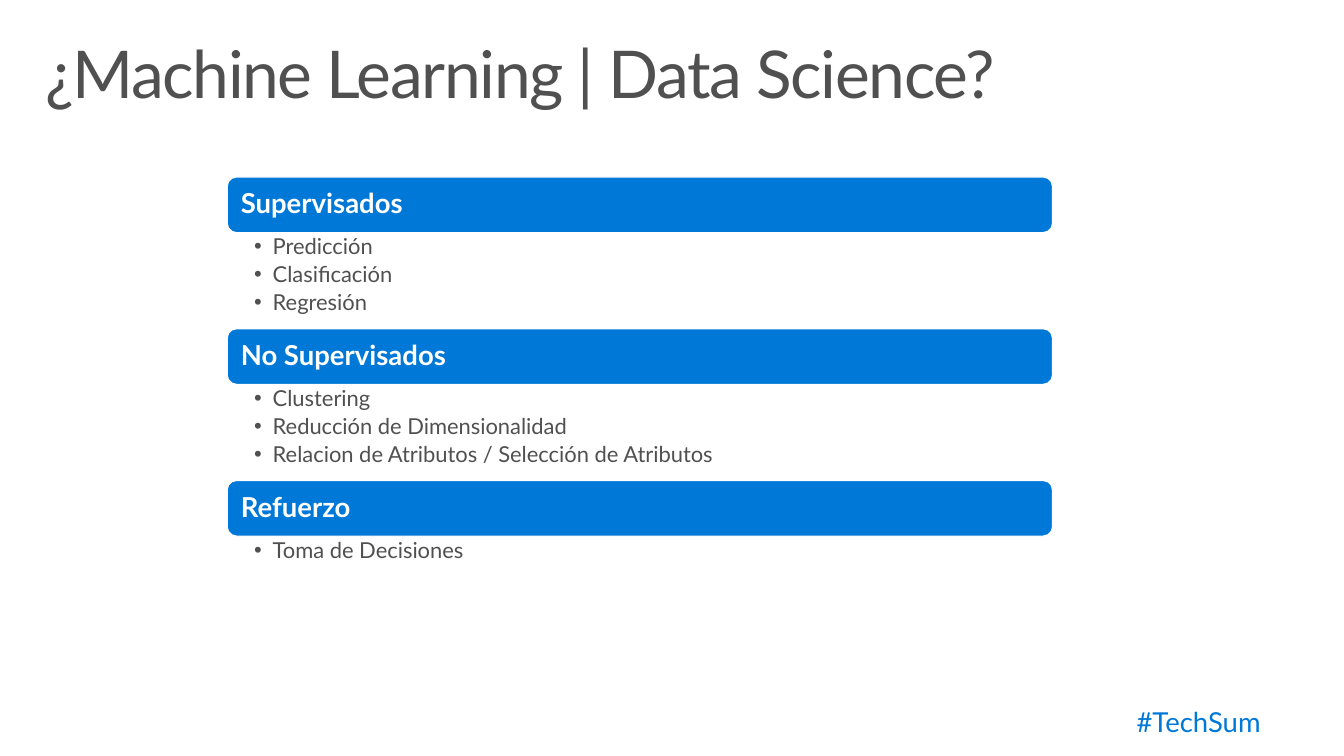
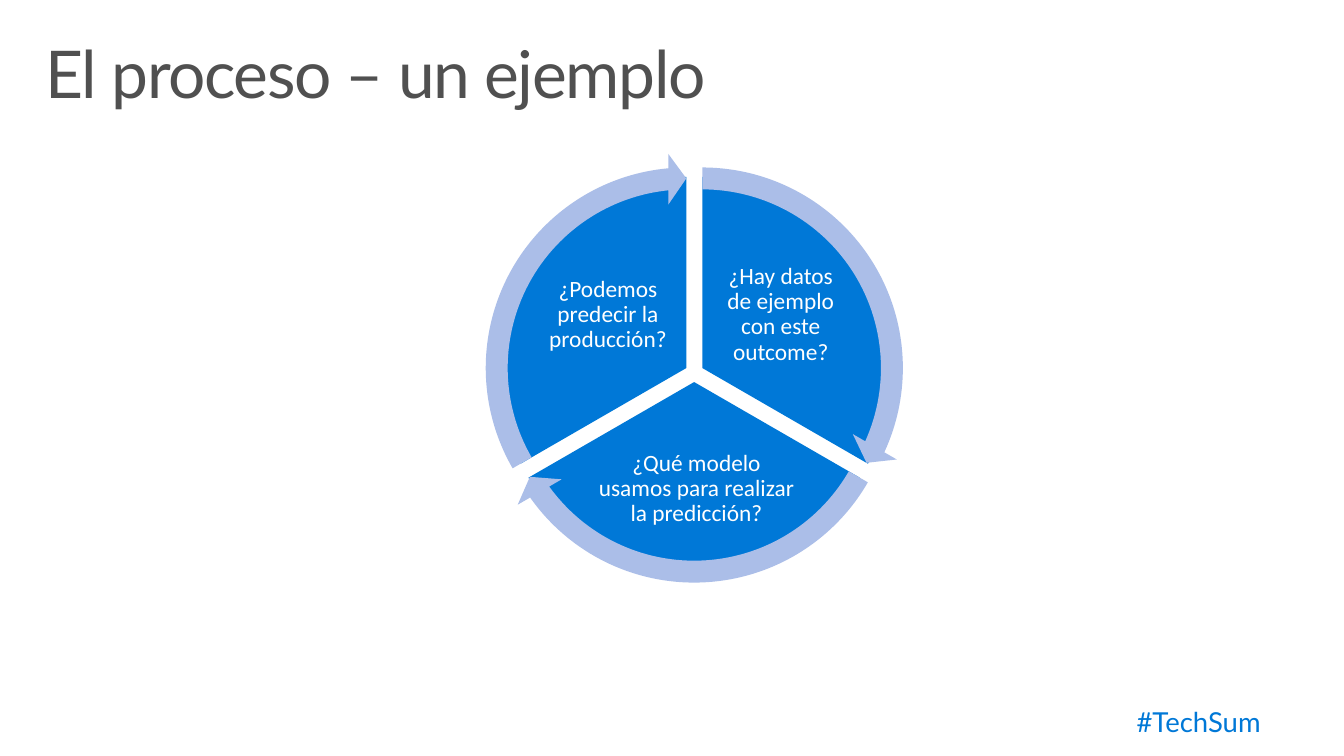
import pptx
import pptx.dml.color
import pptx.enum.shapes
import pptx.enum.text
import pptx.util
from lxml import etree
from pptx.util import Cm

BLUE = pptx.dml.color.RGBColor(0x00, 0x78, 0xD7)
PALE_BLUE = pptx.dml.color.RGBColor(0xAB, 0xBE, 0xE8)
GREY = pptx.dml.color.RGBColor(0x50, 0x50, 0x50)
WHITE = pptx.dml.color.RGBColor(0xFF, 0xFF, 0xFF)
SHAPES = pptx.enum.shapes.MSO_SHAPE
ALIGN = pptx.enum.text.PP_ALIGN
ANCHOR = pptx.enum.text.MSO_ANCHOR
DRAWING = "{http://schemas.openxmlformats.org/drawingml/2006/main}"


def write(shape, lines, size, color, insets, font="Lato", bold=False, align=ALIGN.LEFT,
          anchor=ANCHOR.TOP, space_after=0, bullet=False, tracking=0):
    """Fill a shape with paragraphs; insets are left, top, right, bottom in cm."""
    frame = shape.text_frame
    frame.text = "\n".join(lines)
    frame.word_wrap = True
    frame.vertical_anchor = anchor
    frame.margin_left, frame.margin_top, frame.margin_right, frame.margin_bottom = map(Cm, insets)
    for paragraph in frame.paragraphs:
        paragraph.alignment = align
        paragraph.line_spacing = 0.9
        paragraph.space_after = pptx.util.Pt(space_after)
        if bullet:
            properties = paragraph._p.get_or_add_pPr()
            properties.set("marL", str(Cm(0.48)))
            properties.set("indent", str(-Cm(0.48)))
            etree.SubElement(properties, DRAWING + "buFont").set("typeface", "Arial")
            etree.SubElement(properties, DRAWING + "buChar").set("char", "•")
        for run in paragraph.runs:
            run.font.name = font
            run.font.size = pptx.util.Pt(size)
            run.font.bold = bold
            run.font.color.rgb = color
            if tracking:
                run._r.get_or_add_rPr().set("spc", str(tracking))


def add_filled(slide, preset, box, color, adjustments=()):
    """Add a preset shape without shadow or outline."""
    shape = slide.shapes.add_shape(preset, *map(Cm, box))
    shape.shadow.inherit = False
    shape.fill.solid()
    shape.fill.fore_color.rgb = color
    shape.line.fill.background()
    for index, value in enumerate(adjustments):
        shape.adjustments[index] = value
    return shape


deck = pptx.Presentation()
deck.slide_width, deck.slide_height = Cm(34.54), Cm(19.43)

# Shared hashtag and title
slides = []
for heading in ("¿Machine Learning | Data Science?", "El proceso – un ejemplo"):
    slide = deck.slides.add_slide(deck.slide_layouts[6])
    hashtag = slide.shapes.add_textbox(Cm(22.78), Cm(17.83), Cm(10.13), Cm(1.6))
    write(hashtag, ["#TechSum"], 20, BLUE, (0.51, 0.41, 0.51, 0.41), align=ALIGN.RIGHT)
    title = slide.shapes.add_textbox(Cm(0.76), Cm(0.81), Cm(33.02), Cm(2.54))
    write(title, [heading], 48, GREY, (0.41, 0.25, 0.41, 0.25), tracking=-100)
    slides.append(slide)
learning_slide, process_slide = slides

# Kinds of learning: a bar with its list below
LEARNING_KINDS = [
    ("Supervisados", ["Predicción", "Clasificación", "Regresión"]),
    ("No Supervisados", ["Clustering", "Reducción de Dimensionalidad",
                         "Relacion de Atributos / Selección de Atributos"]),
    ("Refuerzo", ["Toma de Decisiones"]),
]
LEFT, WIDTH, BAR_HEIGHT, KIND_PITCH = 5.84, 21.21, 1.43, 3.9
for index, (kind, uses) in enumerate(LEARNING_KINDS):
    top = 4.55 + index * KIND_PITCH
    bar = add_filled(learning_slide, SHAPES.ROUNDED_RECTANGLE,
                     (LEFT, top, WIDTH, BAR_HEIGHT), BLUE)
    bar.line.color.rgb = WHITE
    bar.line.width = pptx.util.Pt(0.85)
    write(bar, [kind], 20, WHITE, (0.28, 0.2, 0.28, 0.2), bold=True, anchor=ANCHOR.MIDDLE)
    list_height = 0.13 + 0.78 * len(uses)
    use_list = learning_slide.shapes.add_textbox(
        Cm(LEFT), Cm(top + BAR_HEIGHT), Cm(WIDTH), Cm(list_height))
    write(use_list, uses, 16, GREY, (0.69, 0.08, 0.41, 0.08), space_after=3.2, bullet=True)

# Process cycle: centre of the sector, start and end angle, question and its box
STEPS = [
    ((18.05, 9.46), 162, 18, "¿Hay datos de ejemplo con este outcome?",
     (18.31, 6.63, 3.51, 2.92)),
    ((17.84, 9.82), 18, 90, "¿Qué modelo usamos para realizar la predicción?",
     (15.27, 11.28, 5.26, 2.57)),
    ((17.64, 9.46), 90, 162, "¿Podemos predecir la producción?",
     (13.87, 6.63, 3.51, 2.92)),
]
SECTOR_SIZE, ARROW_SIZE, HEAD_ANGLE = 9.83, 11.05, 3.275
for (x, y), start, end, question, box in STEPS:
    add_filled(process_slide, SHAPES.PIE,
               (x - SECTOR_SIZE / 2, y - SECTOR_SIZE / 2, SECTOR_SIZE, SECTOR_SIZE),
               BLUE, (start, end))
    label = process_slide.shapes.add_textbox(*map(Cm, box))
    write(label, [question], 17, WHITE, (0.05, 0.05, 0.05, 0.05), font="Calibri",
          align=ALIGN.CENTER, anchor=ANCHOR.MIDDLE)

# Arrows around the cycle, in front of the sectors
for (x, y), start, end, _, _ in STEPS:
    add_filled(process_slide, SHAPES.CIRCULAR_ARROW,
               (x - ARROW_SIZE / 2, y - ARROW_SIZE / 2, ARROW_SIZE, ARROW_SIZE),
               PALE_BLUE, (0.051, HEAD_ANGLE, end - HEAD_ANGLE, start, 0.059))

deck.save("out.pptx")
